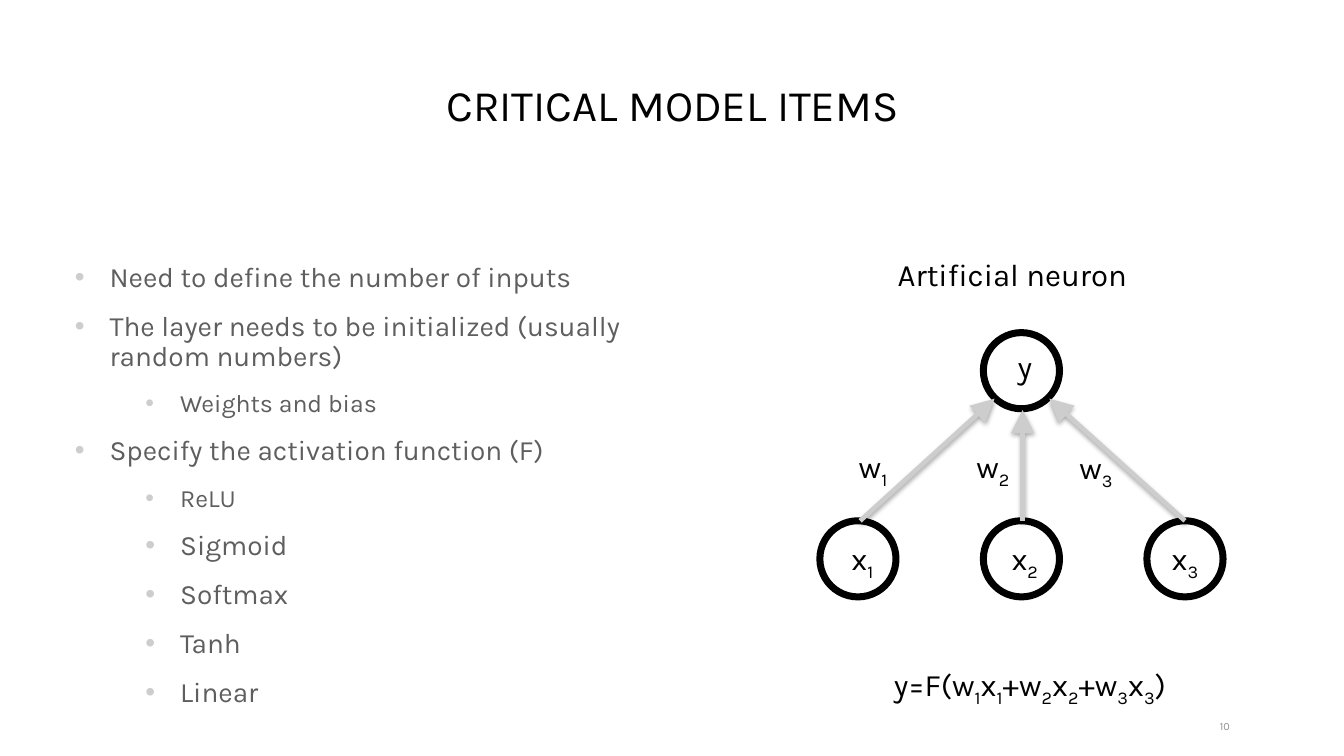
from dataclasses import dataclass

from lxml.etree import SubElement
from pptx import Presentation
from pptx.dml.color import RGBColor
from pptx.enum.shapes import MSO_CONNECTOR as Connector, MSO_SHAPE as Preset
from pptx.enum.text import MSO_ANCHOR as Anchor, PP_ALIGN as Align
from pptx.oxml import parse_xml
from pptx.oxml.ns import nsdecls, qn
from pptx.shapes.autoshape import Shape
from pptx.slide import Slide
from pptx.util import Inches, Pt


@dataclass(frozen=True)
class Theme:
    font: str = "Karla"
    ink: str = "000000"
    body: str = "5E5E5E"
    accent: str = "CDCDCD"
    muted: str = "8C8C8C"
    title_size: int = 28
    label_size: int = 20
    body_size: int = 18
    detail_size: int = 16
    number_size: int = 7
    node_line: float = 4.5
    arrow_line: float = 3
    line_spacing: float = 0.9


@dataclass(frozen=True)
class Bullet:
    text: str
    level: int = 0
    size: int = 18


@dataclass(frozen=True)
class Label:
    text: str
    left: float
    top: float
    width: float


@dataclass(frozen=True)
class Arrow:
    start: tuple[float, float]
    end: tuple[float, float]


THEME = Theme()
NODE_SIZE = 0.68
INPUT_TOP = 4.65
INPUT_LEFTS = [7.32 + 1.46 * index for index in range(3)]
NODES = [(left, INPUT_TOP) for left in INPUT_LEFTS] + [(INPUT_LEFTS[1], 2.97)]
ARROWS = [
    Arrow((7.68, INPUT_TOP), (8.88, 3.56)),
    Arrow((9.13, INPUT_TOP), (9.13, 3.66)),
    Arrow((10.58, INPUT_TOP), (9.37, 3.56)),
]
LABELS = [
    Label("w_1", 7.53, 3.96, 0.53),
    Label("w_2", 8.6, 3.96, 0.53),
    Label("w_3", 9.52, 3.97, 0.53),
    Label("x_1", 7.47, 4.78, 0.46),
    Label("x_2", 8.92, 4.78, 0.46),
    Label("x_3", 10.35, 4.78, 0.46),
    Label("y", 8.97, 3.08, 0.36),
    Label("y=F(w_1x_1+w_2x_2+w_3x_3)", 7.8, 5.91, 2.79),
    Label("Artificial neuron", 7.9, 2.26, 2.28),
]
BULLETS = [
    Bullet("Need to define the number of inputs"),
    Bullet("The layer needs to be initialized (usually random numbers)"),
    Bullet("Weights and bias", 1, THEME.detail_size),
    Bullet("Specify the activation function (F)"),
    Bullet("ReLU", 1, THEME.detail_size),
    *(Bullet(name, 1) for name in ("Sigmoid", "Softmax", "Tanh", "Linear")),
]


def add_box(slide: Slide, left: float, top: float, width: float, height: float,
            anchor: Anchor, margins: tuple[float, float], wrap: bool = True) -> Shape:
    """Add an empty text box with horizontal and vertical margins."""
    box = slide.shapes.add_textbox(Inches(left), Inches(top), Inches(width), Inches(height))
    frame = box.text_frame
    frame.word_wrap = wrap
    frame.vertical_anchor = anchor
    frame.margin_left = frame.margin_right = Inches(margins[0])
    frame.margin_top = frame.margin_bottom = Inches(margins[1])
    return box


def add_run(paragraph, text: str, size: float, color: str, subscript: bool = False) -> None:
    """Append one formatted run."""
    run = paragraph.add_run()
    run.text = text
    run.font.name = THEME.font
    run.font.size = Pt(size)
    run.font.color.rgb = RGBColor.from_string(color)
    if subscript:
        run.font._element.set("baseline", "-25000")


def add_label(slide: Slide, label: Label) -> None:
    """Add a centred label, lowering each character after an underscore."""
    box = add_box(slide, label.left, label.top, label.width, 0.42, Anchor.MIDDLE, (0.11, 0.06), False)
    paragraph = box.text_frame.paragraphs[0]
    paragraph.alignment = Align.CENTER
    paragraph.line_spacing = THEME.line_spacing
    first, *rest = label.text.split("_")
    add_run(paragraph, first, THEME.label_size, THEME.ink)
    for piece in rest:
        add_run(paragraph, piece[0], THEME.label_size, THEME.ink, True)
        if piece[1:]:
            add_run(paragraph, piece[1:], THEME.label_size, THEME.ink)


def add_bullets(slide: Slide, bullets: list[Bullet]) -> None:
    """Add the two-level bulleted list."""
    frame = add_box(slide, 0.57, 2.3, 5.33, 4.07, Anchor.TOP, (0.1, 0.05)).text_frame
    for index, bullet in enumerate(bullets):
        paragraph = frame.add_paragraph() if index else frame.paragraphs[0]
        paragraph.level = bullet.level
        paragraph.line_spacing = THEME.line_spacing
        paragraph.space_before = Pt(6 if index else 0)
        paragraph.space_after = Pt(6)
        properties = paragraph._p.get_or_add_pPr()
        properties.set("marL", str(Inches((0.31, 0.94)[bullet.level])))
        properties.set("indent", str(Inches(-0.31)))
        color = SubElement(properties, qn("a:buClr"))
        SubElement(color, qn("a:srgbClr"), val=THEME.accent)
        SubElement(properties, qn("a:buFont"), typeface="Arial")
        SubElement(properties, qn("a:buChar"), char="•")
        add_run(paragraph, bullet.text, bullet.size, THEME.body)


def add_node(slide: Slide, left: float, top: float) -> None:
    """Add one outlined neuron circle."""
    node = slide.shapes.add_shape(
        Preset.OVAL, Inches(left), Inches(top), Inches(NODE_SIZE), Inches(NODE_SIZE))
    node.shadow.inherit = False
    node.fill.background()
    node.line.color.rgb = RGBColor.from_string(THEME.ink)
    node.line.width = Pt(THEME.node_line)


def add_arrow(slide: Slide, arrow: Arrow) -> None:
    """Add one weighted connection with a soft shadow."""
    connector = slide.shapes.add_connector(
        Connector.STRAIGHT, *(Inches(value) for value in arrow.start + arrow.end))
    connector.line.color.rgb = RGBColor.from_string(THEME.accent)
    connector.line.width = Pt(THEME.arrow_line)
    SubElement(connector.line._get_or_add_ln(), qn("a:tailEnd"), type="triangle", w="lg", len="lg")
    connector._element.spPr.append(parse_xml(
        f'<a:effectLst {nsdecls("a")}>'
        f'<a:outerShdw blurRad="{Pt(3.1)}" dist="{Pt(1.8)}" dir="5400000" rotWithShape="0">'
        f'<a:srgbClr val="{THEME.ink}"><a:alpha val="35000"/></a:srgbClr>'
        '</a:outerShdw></a:effectLst>'))


def main() -> None:
    """Build and save the slide."""
    presentation = Presentation()
    presentation.slide_width = Inches(12)
    presentation.slide_height = Inches(6.75)
    slide = presentation.slides.add_slide(presentation.slide_layouts[6])

    number = add_box(slide, 10.63, 6.41, 0.35, 0.15, Anchor.MIDDLE, (0, 0)).text_frame.paragraphs[0]
    number.alignment = Align.RIGHT
    add_run(number, "10", THEME.number_size, THEME.muted)

    title = add_box(slide, 0.55, 0.57, 10.91, 0.65, Anchor.BOTTOM, (0.1, 0.05)).text_frame.paragraphs[0]
    title.alignment = Align.CENTER
    title.line_spacing = THEME.line_spacing
    add_run(title, "CRITICAL MODEL ITEMS", THEME.title_size, THEME.ink)

    add_bullets(slide, BULLETS)
    for left, top in NODES:
        add_node(slide, left, top)
    for arrow in ARROWS:
        add_arrow(slide, arrow)
    for label in LABELS:
        add_label(slide, label)
    presentation.save("out.pptx")


if __name__ == "__main__":
    main()
